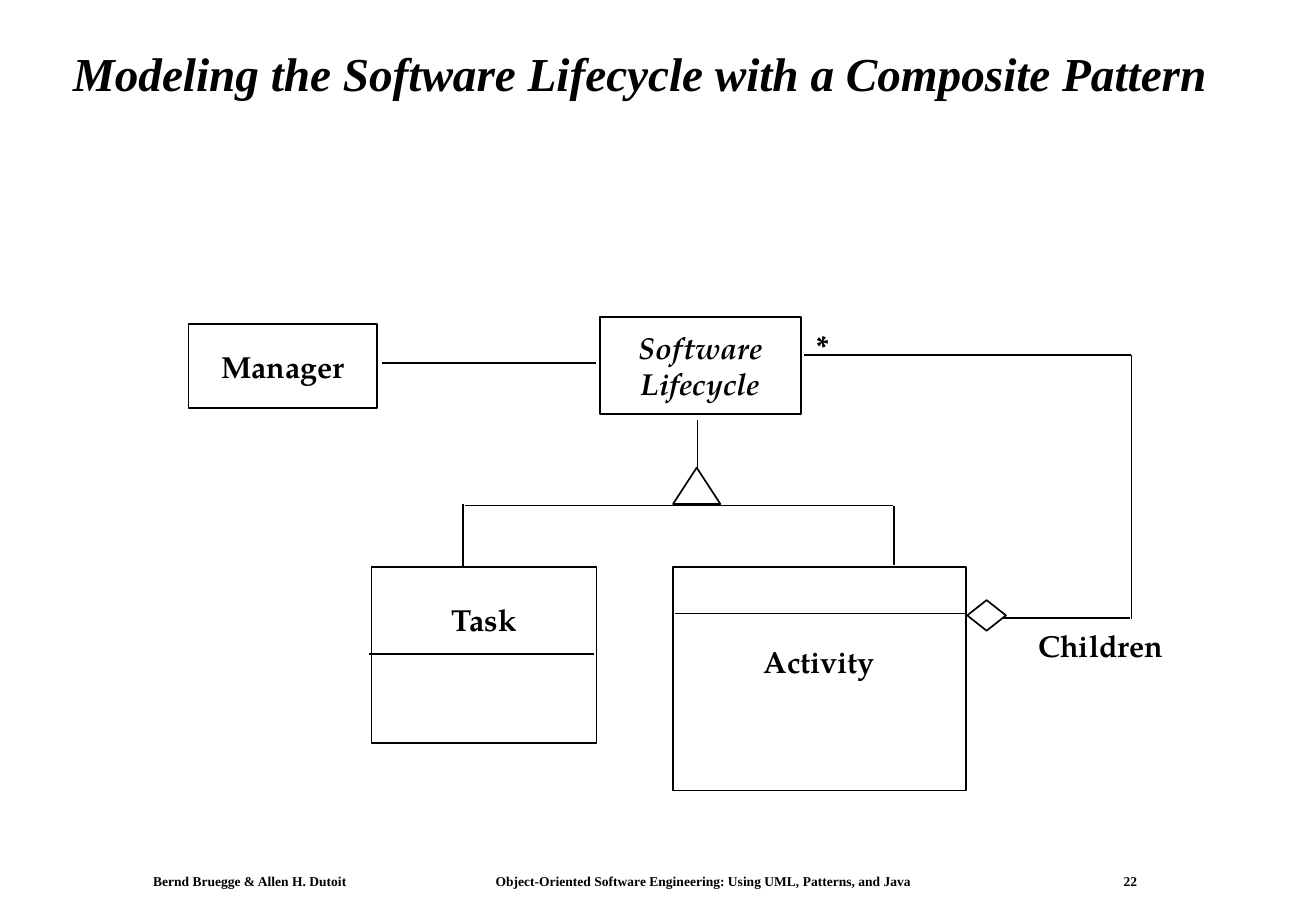
from dataclasses import dataclass

from lxml.etree import SubElement
from pptx import Presentation
from pptx.dml.color import RGBColor
from pptx.enum.shapes import MSO_CONNECTOR, MSO_SHAPE
from pptx.enum.text import MSO_ANCHOR, MSO_AUTO_SIZE, PP_ALIGN
from pptx.oxml.ns import qn
from pptx.slide import Slide
from pptx.text.text import TextFrame
from pptx.util import Cm, Pt


@dataclass(frozen=True)
class Theme:
    ink: RGBColor = RGBColor(0x00, 0x00, 0x00)
    paper: RGBColor = RGBColor(0xFF, 0xFF, 0xFF)
    heading_font: str = "Times New Roman"
    diagram_font: str = "TeX Gyre Pagella"
    title_size: int = 28
    diagram_size: int = 18
    footer_size: int = 8
    line_width: int = 1


@dataclass(frozen=True)
class Node:
    """A filled outline; name_top places the name below the top edge, else it is centred."""
    left: float
    top: float
    width: float
    height: float
    name: str = ""
    italic: bool = False
    name_top: float | None = None
    outline: MSO_SHAPE = MSO_SHAPE.RECTANGLE


@dataclass(frozen=True)
class Edge:
    x1: float
    y1: float
    x2: float
    y2: float


@dataclass(frozen=True)
class Label:
    left: float
    top: float
    width: float
    height: float
    text: str


THEME = Theme()

CLASSES = [
    Node(12.55, 6.63, 4.19, 2.03, "Software\nLifecycle", italic=True),
    Node(7.77, 11.86, 4.7, 3.68, "Task", name_top=0.71),
    Node(14.07, 11.86, 6.12, 4.67, "Activity", name_top=1.6),
    Node(3.94, 6.78, 3.94, 1.75, "Manager"),
]
UML_SYMBOLS = [
    Node(14.07, 9.78, 0.99, 0.76, outline=MSO_SHAPE.ISOSCELES_TRIANGLE),
    Node(20.22, 12.55, 0.81, 0.64, outline=MSO_SHAPE.DIAMOND),
]
ASSOCIATION = [Edge(7.98, 7.59, 12.45, 7.59)]
INHERITANCE = [
    Edge(14.58, 8.79, 14.58, 9.83),
    Edge(9.73, 10.57, 18.67, 10.57),
    Edge(18.69, 10.59, 18.69, 11.81),
    Edge(9.68, 10.54, 9.68, 11.86),
]
AGGREGATION = [
    Edge(20.96, 12.93, 23.62, 12.93),
    Edge(23.65, 12.95, 23.65, 7.42),
    Edge(23.65, 7.42, 16.81, 7.42),
]
COMPARTMENTS = [
    Edge(14.12, 12.83, 20.19, 12.83),
    Edge(7.72, 13.67, 12.42, 13.67),
]
ROLES = [
    Label(21.46, 13, 3.12, 1.02, "Children"),
    Label(16.81, 6.71, 0.79, 1.02, "*"),
]
FOOTER = Label(3, 18.16, 21.01, 0.53,
               "Bernd Bruegge & Allen H. Dutoit\t"
               "Object-Oriented Software Engineering: Using UML, Patterns, and Java\t22")
FOOTER_TABS = [7.16, 20.29]


def style_text(frame: TextFrame, font_name: str, size: int, align: PP_ALIGN,
               italic: bool = False) -> None:
    for paragraph in frame.paragraphs:
        paragraph.alignment = align
        font = paragraph.font
        font.name, font.size = font_name, Pt(size)
        font.bold, font.italic = True, italic
        font.color.rgb = THEME.ink


def add_title(slide: Slide, text: str) -> None:
    title = slide.shapes.title
    title.left, title.top, title.width, title.height = Cm(1.27), Cm(0.61), Cm(24.54), Cm(1.96)
    frame = title.text_frame
    frame.text = text
    frame.auto_size = MSO_AUTO_SIZE.NONE
    frame.vertical_anchor = MSO_ANCHOR.MIDDLE
    frame.paragraphs[0].line_spacing = 0.9
    style_text(frame, THEME.heading_font, THEME.title_size, PP_ALIGN.LEFT, italic=True)


def add_node(slide: Slide, node: Node) -> None:
    shape = slide.shapes.add_shape(node.outline, Cm(node.left), Cm(node.top),
                                   Cm(node.width), Cm(node.height))
    shape.shadow.inherit = False
    shape.fill.solid()
    shape.fill.fore_color.rgb = THEME.paper
    shape.line.color.rgb = THEME.ink
    shape.line.width = Pt(THEME.line_width)
    if not node.name:
        return
    frame = shape.text_frame
    frame.text = node.name
    frame.word_wrap = False
    frame.vertical_anchor = MSO_ANCHOR.MIDDLE
    if node.name_top is not None:
        frame.vertical_anchor = MSO_ANCHOR.TOP
        frame.margin_top = Cm(node.name_top)
    style_text(frame, THEME.diagram_font, THEME.diagram_size, PP_ALIGN.CENTER, node.italic)


def add_edge(slide: Slide, edge: Edge) -> None:
    connector = slide.shapes.add_connector(MSO_CONNECTOR.STRAIGHT, Cm(edge.x1), Cm(edge.y1),
                                           Cm(edge.x2), Cm(edge.y2))
    connector.line.color.rgb = THEME.ink
    connector.line.width = Pt(THEME.line_width)
    SubElement(connector.element.spPr, qn("a:effectLst"))


def add_label(slide: Slide, label: Label) -> TextFrame:
    box = slide.shapes.add_textbox(Cm(label.left), Cm(label.top),
                                   Cm(label.width), Cm(label.height))
    box.text_frame.text = label.text
    return box.text_frame


def add_role(slide: Slide, role: Label) -> None:
    frame = add_label(slide, role)
    frame.word_wrap = False
    style_text(frame, THEME.diagram_font, THEME.diagram_size, PP_ALIGN.LEFT)


def add_footer(slide: Slide) -> None:
    frame = add_label(slide, FOOTER)
    frame.word_wrap = True
    frame.margin_left = frame.margin_right = Cm(0.2)
    frame.margin_top = frame.margin_bottom = Cm(0.1)
    tab_list = SubElement(frame.paragraphs[0]._p.get_or_add_pPr(), qn("a:tabLst"))
    for position in FOOTER_TABS:
        SubElement(tab_list, qn("a:tab"), pos=str(Cm(position)), algn="l")
    style_text(frame, THEME.heading_font, THEME.footer_size, PP_ALIGN.LEFT)


def main() -> None:
    presentation = Presentation()
    presentation.slide_width, presentation.slide_height = Cm(27.51), Cm(19.05)
    slide = presentation.slides.add_slide(presentation.slide_layouts[5])
    add_footer(slide)
    add_title(slide, "Modeling the Software Lifecycle with a Composite Pattern")
    for node in CLASSES:
        add_node(slide, node)
    for edge in ASSOCIATION + INHERITANCE + AGGREGATION + COMPARTMENTS:
        add_edge(slide, edge)
    for symbol in UML_SYMBOLS:
        add_node(slide, symbol)
    for role in ROLES:
        add_role(slide, role)
    presentation.save("out.pptx")


if __name__ == "__main__":
    main()
